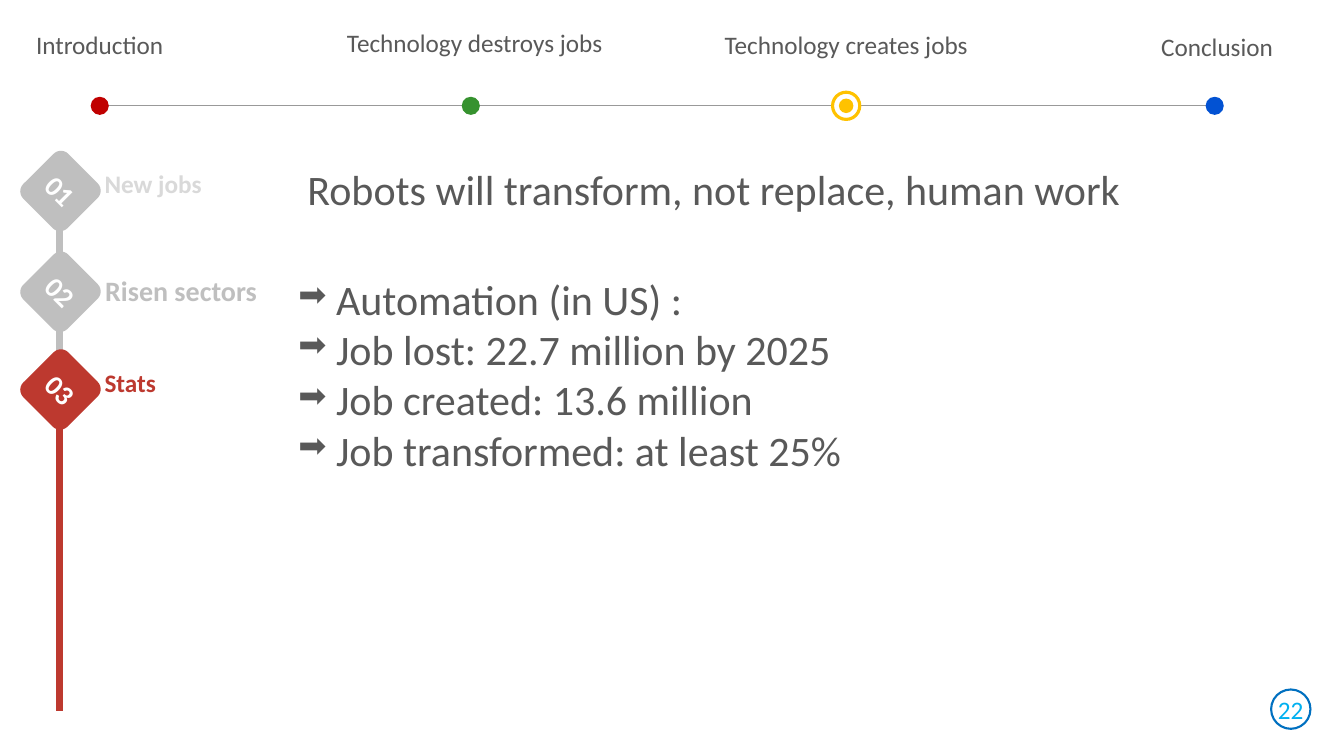
from lxml import etree
from pptx import Presentation
from pptx import util as u
from pptx.dml.color import RGBColor
from pptx.enum import shapes, text
from pptx.oxml import ns

GREY, DARK, RED, WHITE = "BFBFBF", "595959", "BD392F", "FFFFFF"
color = RGBColor.from_string

presentation = Presentation()
presentation.slide_width = u.Inches(13.33)
presentation.slide_height = u.Inches(7.5)
column = presentation.slide_width / 100
row = presentation.slide_height / 100


def grid(*cells):
    """Turn alternating columns and rows, in hundredths of the slide, into lengths."""
    return [u.Emu(round(cell * (row if index % 2 else column)))
            for index, cell in enumerate(cells)]


def write(shape, lines, size, hex_color, bold=False, centred=False, middle=False, wrap=True):
    frame = shape.text_frame
    frame.word_wrap = wrap
    frame.auto_size = text.MSO_AUTO_SIZE.NONE
    frame.vertical_anchor = text.MSO_ANCHOR.MIDDLE if middle else text.MSO_ANCHOR.TOP
    frame.margin_left = frame.margin_right = u.Inches(0.05)
    frame.margin_top = frame.margin_bottom = u.Inches(0.05)
    for index, line in enumerate(lines):
        paragraph = frame.add_paragraph() if index else frame.paragraphs[0]
        paragraph.alignment = text.PP_ALIGN.CENTER if centred else text.PP_ALIGN.LEFT
        run = paragraph.add_run()
        run.text = line
        run.font.name, run.font.size, run.font.bold = "Calibri", u.Pt(size), bold
        run.font.color.rgb = color(hex_color)


slide = presentation.slides.add_slide(presentation.slide_layouts[5])

# Title
title = slide.shapes.title
title.left, title.top, title.width, title.height = grid(22.5, 20.93, 68.1, 7.87)
write(title, ["Robots will transform, not replace, human work"], 30, DARK, wrap=False)

# Timeline and the rail of steps: start column and row, end column and row
rail = 4.43
for ends, hex_color, weight in [
    ((7.3, 14, 89.7, 14), "999999", 0.5),
    ((rail, 25.2, rail, 53.2), GREY, 5),
    ((rail, 53.2, rail, 94), RED, 5),
]:
    line = slide.shapes.add_connector(shapes.MSO_CONNECTOR.STRAIGHT, *grid(*ends))
    line.line.color.rgb = color(hex_color)
    line.line.width = u.Pt(weight)
    etree.SubElement(line._element.spPr, ns.qn("a:effectLst"))

# Timeline labels: centre column, top row, width
for label, centre, top, width in [
    ("Introduction", 7.42, 3.2, 14),
    ("Technology destroys jobs", 35.32, 2.93, 24.75),
    ("Technology creates jobs", 62.96, 3.2, 21.83),
    ("Conclusion", 90.56, 3.47, 14.78),
]:
    box = slide.shapes.add_textbox(*grid(centre - width / 2, top, width, 5.2))
    write(box, [label], 18, DARK, centred=True)

# Timeline dots, the current ring and the page badge: centre, diameter in rows
for centre, middle, diameter, fill, outline, weight, label in [
    (7.42, 14, 2.4, "C00000", None, 0, None),
    (35.03, 14, 2.4, "36922F", None, 0, None),
    (62.96, 14, 3.6, WHITE, "FFC200", 2.25, None),
    (62.96, 14, 1.73, "FFC200", "FFC200", 1, None),
    (90.38, 14, 2.4, "0252D3", None, 0, None),
    (96.04, 93.8, 5.2, WHITE, "0070C0", 1.5, "22"),
]:
    width = diameter * row / column
    dot = slide.shapes.add_shape(
        shapes.MSO_SHAPE.OVAL,
        *grid(centre - width / 2, middle - diameter / 2, width, diameter))
    dot.shadow.inherit = False
    dot.fill.solid()
    dot.fill.fore_color.rgb = color(fill)
    if outline:
        dot.line.color.rgb = color(outline)
        dot.line.width = u.Pt(weight)
    else:
        dot.line.fill.background()
    if label:
        write(dot, [label], 18, "00B0F0", centred=True, middle=True, wrap=False)

# Steps: diamond centre row, label top row
for number, (label, middle, top, size, label_color, fill) in enumerate([
    (" New jobs", 25.27, 21.6, 18, "D9D9D9", GREY),
    (" Risen sectors", 38.6, 35.47, 20, GREY, GREY),
    (" Stats", 51.53, 47.87, 18, RED, RED),
], start=1):
    box = slide.shapes.add_textbox(*grid(6.98, top, 15, 5.2))
    write(box, [label], size, label_color, bold=True)
    diamond = slide.shapes.add_shape(
        shapes.MSO_SHAPE.ROUNDED_RECTANGLE, *grid(2.18, middle - 4.2, 4.65, 8.4))
    diamond.rotation = 45.1
    diamond.shadow.inherit = False
    diamond.fill.solid()
    diamond.fill.fore_color.rgb = color(fill)
    diamond.line.fill.background()
    write(diamond, [f"{number:02d}"], 20, WHITE, bold=True, centred=True, middle=True)

# Statistics with arrow bullets
statistics = slide.shapes.add_textbox(*grid(21.83, 35.47, 46.58, 33.73))
write(statistics, [
    " Automation (in US) :",
    " Job lost: 22.7 million by 2025",
    " Job created: 13.6 million",
    " Job transformed: at least 25%",
], 30, DARK, wrap=False)
for paragraph in statistics.text_frame.paragraphs:
    properties = paragraph._p.get_or_add_pPr()
    properties.set("marL", str(u.Inches(0.25)))
    properties.set("indent", str(-u.Inches(0.25)))
    bullet_color = etree.SubElement(properties, ns.qn("a:buClr"))
    etree.SubElement(bullet_color, ns.qn("a:srgbClr"), val=DARK)
    etree.SubElement(properties, ns.qn("a:buSzPct"), val="80000")
    etree.SubElement(properties, ns.qn("a:buChar"), char="➡")

presentation.save("out.pptx")
